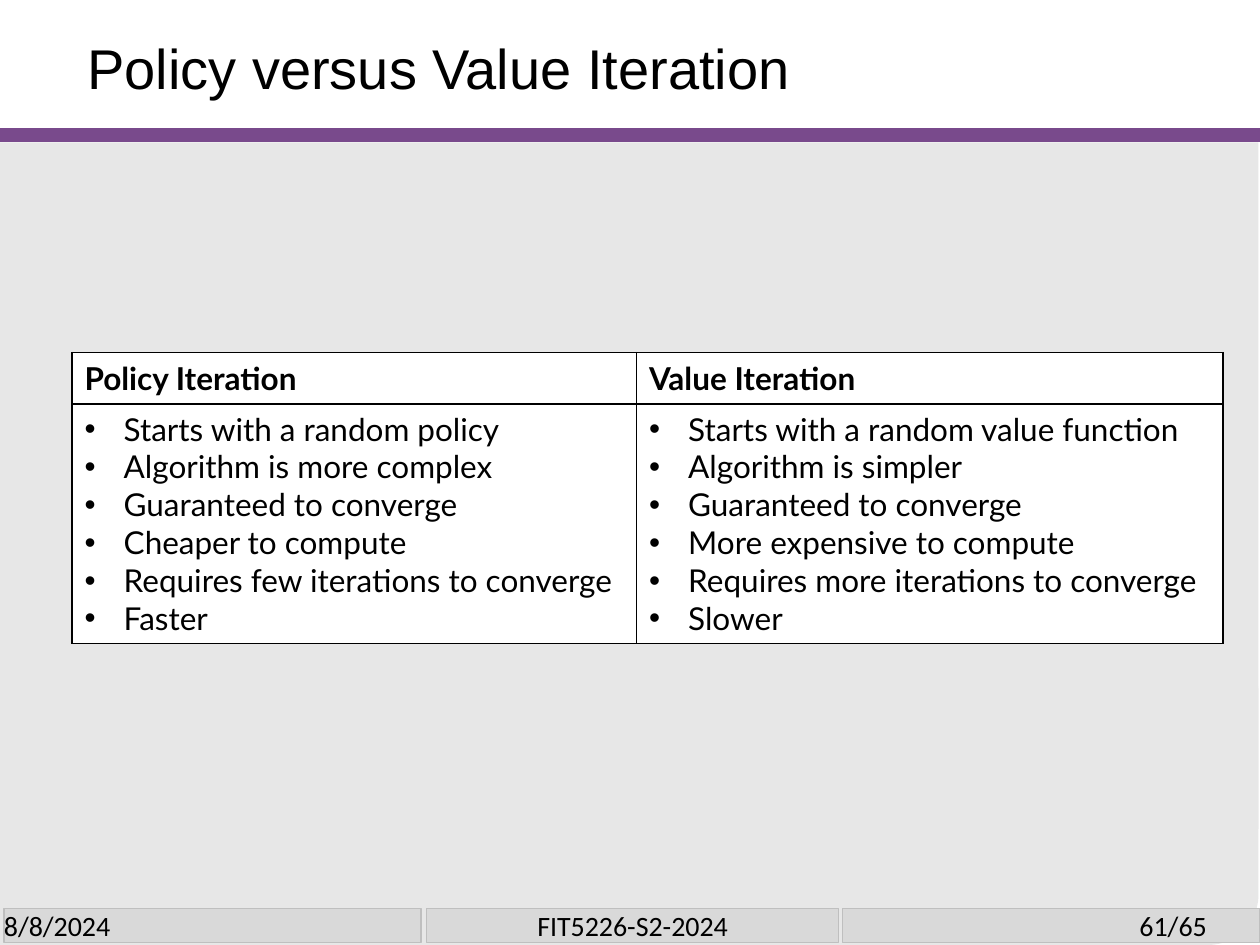
import pptx
import pptx.util
import pptx.dml.color
import pptx.enum.shapes
import pptx.enum.text
import pptx.oxml
import pptx.oxml.ns

Cm, Pt = pptx.util.Cm, pptx.util.Pt
SHAPE = pptx.enum.shapes.MSO_SHAPE
ALIGN = pptx.enum.text.PP_ALIGN
MIDDLE = pptx.enum.text.MSO_ANCHOR.MIDDLE


def color(hex_value):
    return pptx.dml.color.RGBColor.from_string(hex_value)


def add_xml(parent, xml):
    parent.append(pptx.oxml.parse_xml(xml.replace(" ", f" {pptx.oxml.ns.nsdecls('a')} ", 1)))


class SlideBuilder:
    BLACK, WHITE, PURPLE = "000000", "FFFFFF", "794A8C"
    PANEL, FOOTER, FOOTER_LINE = "E7E7E7", "D9D9D9", "BFBFBF"
    TITLE = {"name": "Arial", "size": Pt(32), "bold": False}
    HEADER = {"name": "Lato", "size": Pt(18), "bold": True}
    BODY = {"name": "Lato", "size": Pt(18), "bold": False}
    FOOT = {"name": "Calibri", "size": Pt(16), "bold": False}
    INDENT = Cm(0.79)

    def __init__(self, slide):
        self.s = slide

    def text(self, p, text, style, align=ALIGN.LEFT):
        p.alignment = align
        r = p.add_run()
        r.text = text
        for name, value in style.items():
            setattr(r.font, name, value)
        r.font.color.rgb = color(self.BLACK)

    def rule(self, y, width):
        line = self.s.shapes.add_connector(
            pptx.enum.shapes.MSO_CONNECTOR.STRAIGHT, 0, Cm(y), Cm(25.4), Cm(y))
        line.line.color.rgb = color(self.PURPLE)
        line.line.width = Pt(width)
        add_xml(line._element.spPr, "<a:effectLst />")

    def box(self, kind, box, fill, line=None):
        sp = self.s.shapes.add_shape(kind, *map(Cm, box))
        sp.shadow.inherit = False
        sp.fill.solid()
        sp.fill.fore_color.rgb = color(fill)
        if line:
            sp.line.color.rgb = color(line)
            sp.line.width = Pt(0.75)
        else:
            sp.line.fill.background()
        return sp

    def frame(self, tf, **insets):
        tf.word_wrap = True
        tf.vertical_anchor = MIDDLE
        for side in ("left", "top", "right", "bottom"):
            setattr(tf, f"margin_{side}", Cm(insets.get(side, insets["default"])))

    def title(self, text, box):
        sp = self.s.shapes.title
        sp.left, sp.top, sp.width, sp.height = map(Cm, box)
        self.frame(sp.text_frame, default=0.16, left=0.49)
        self.text(sp.text_frame.paragraphs[0], text, self.TITLE)

    def footer(self, text, box, align, right=0):
        sp = self.box(SHAPE.RECTANGLE, box, self.FOOTER, self.FOOTER_LINE)
        self.frame(sp.text_frame, default=0, right=right)
        self.text(sp.text_frame.paragraphs[0], text, self.FOOT, align)

    def bullet(self, p):
        pPr = p._p.get_or_add_pPr()
        pPr.set("marL", str(self.INDENT))
        pPr.set("indent", str(-self.INDENT))
        add_xml(pPr, '<a:buFont typeface="Arial"/>')
        add_xml(pPr, '<a:buChar char="•"/>')

    def cell(self, cell, lines, style, bulleted):
        for side in "LRTB":
            add_xml(cell._tc.get_or_add_tcPr(),
                    f'<a:ln{side} w="{Pt(1)}"><a:solidFill><a:srgbClr val="{self.BLACK}"/>'
                    f"</a:solidFill></a:ln{side}>")
        cell.fill.solid()
        cell.fill.fore_color.rgb = color(self.WHITE)
        tf = cell.text_frame
        for i, line in enumerate(lines):
            p = tf.add_paragraph() if i else tf.paragraphs[0]
            if bulleted:
                self.bullet(p)
            self.text(p, line, style)

    def comparison(self, columns, left, top, widths, heights):
        table = self.s.shapes.add_table(
            2, len(columns), Cm(left), Cm(top), Cm(sum(widths)), Cm(sum(heights))).table
        for row, height in zip(table.rows, heights):
            row.height = Cm(height)
        for c, ((heading, points), width) in enumerate(zip(columns.items(), widths)):
            table.columns[c].width = Cm(width)
            self.cell(table.cell(0, c), [heading], self.HEADER, False)
            self.cell(table.cell(1, c), points, self.BODY, True)


def main():
    prs = pptx.Presentation()
    prs.slide_width, prs.slide_height = Cm(25.4), Cm(19.05)
    b = SlideBuilder(prs.slides.add_slide(prs.slide_layouts[5]))

    # Purple rule and grey background panel
    b.rule(2.72, 8)
    for kind, box in (
        (SHAPE.RECTANGLE, (-0.03, 2.87, 25.4, 13.84)),
        (SHAPE.ROUNDED_RECTANGLE, (9.04, 12.95, 16.33, 6.1)),
        (SHAPE.RECTANGLE, (-0.03, 6.86, 11.28, 12.19)),
    ):
        b.box(kind, box, b.PANEL)

    # Title
    b.title("Policy versus Value Iteration", (1.27, 0, 22.86, 2.72))

    # Comparison table
    columns = {
        "Policy Iteration": [
            "Starts with a random policy",
            "Algorithm is more complex",
            "Guaranteed to converge",
            "Cheaper to compute",
            "Requires few iterations to converge",
            "Faster",
        ],
        "Value Iteration": [
            "Starts with a random value function",
            "Algorithm is simpler",
            "Guaranteed to converge",
            "More expensive to compute",
            "Requires more iterations to converge",
            "Slower",
        ],
    }
    b.comparison(columns, 1.45, 7.11, (11.38, 11.82), (1.03, 4.83))

    # Footer: date, unit, page
    b.footer("8/8/2024", (0.08, 18.31, 8.41, 0.69), ALIGN.LEFT)
    b.footer("FIT5226-S2-2024", (8.6, 18.31, 8.31, 0.69), ALIGN.CENTER)
    b.footer("61/65", (16.99, 18.31, 8.41, 0.69), ALIGN.RIGHT, right=1.07)

    prs.save("out.pptx")


if __name__ == "__main__":
    main()
